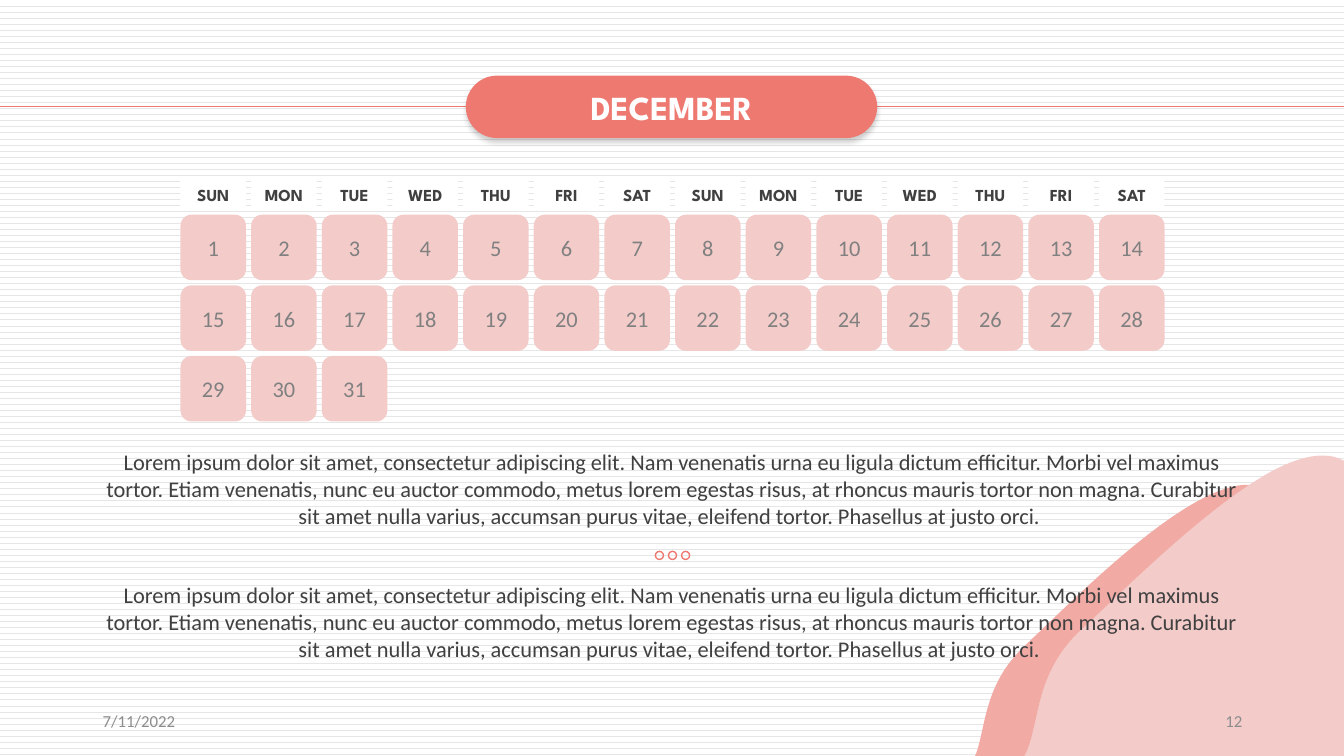
from lxml import etree
from pptx import Presentation
from pptx.dml.color import RGBColor
from pptx.enum.dml import MSO_PATTERN
from pptx.enum.shapes import MSO_CONNECTOR, MSO_SHAPE
from pptx.enum.text import MSO_ANCHOR, MSO_AUTO_SIZE, PP_ALIGN
from pptx.oxml import parse_xml
from pptx.oxml.ns import nsdecls, qn
from pptx.util import Inches, Pt

CORAL = RGBColor(0xEE, 0x79, 0x71)
SALMON = RGBColor(0xF1, 0xAA, 0xA4)
BLUSH = RGBColor(0xF3, 0xCC, 0xCA)
WHITE = RGBColor(0xFF, 0xFF, 0xFF)
STRIPE = RGBColor(0xE7, 0xE6, 0xE6)
DARK = RGBColor(0x40, 0x40, 0x40)
GRAY = RGBColor(0x80, 0x80, 0x80)
FOOTER_GRAY = RGBColor(0x8C, 0x8C, 0x8C)

HEADING_FONT = "League Spartan"
BODY_FONT = "Calibri"

MONTH = "DECEMBER"
WEEKDAYS = ["SUN", "MON", "TUE", "WED", "THU", "FRI", "SAT"] * 2
DAYS = 31
NOTE = (
    "Lorem ipsum dolor sit amet, consectetur adipiscing elit. Nam venenatis urna eu ligula "
    "dictum efficitur. Morbi vel maximus tortor. Etiam venenatis, nunc eu auctor commodo, "
    "metus lorem egestas risus, at rhoncus mauris tortor non magna. Curabitur sit amet nulla "
    "varius, accumsan purus vitae, eleifend tortor. Phasellus at justo orci. "
)
NOTE_TOPS = [4.4, 5.72]
FOOTERS = [
    ("7/11/2022", 0.92, PP_ALIGN.LEFT),
    ("12", 9.42, PP_ALIGN.RIGHT),
]
WAVES = [
    (BLUSH, (13.14, 4.52), [
        (13.21, 4.52, 13.27, 4.54, 13.33, 4.57),
        (13.33, 4.58),
        (13.33, 7.5),
        (12.57, 7.5),
        (10.16, 7.5),
        (10.17, 7.48),
        (10.32, 7.18, 10.25, 6.69, 10.72, 6.25),
        (11.06, 5.94, 11.77, 5.22, 12.39, 4.81),
        (12.47, 4.76),
        (12.72, 4.6, 12.96, 4.51, 13.14, 4.52),
    ]),
    (SALMON, (12.39, 4.81), [
        (11.77, 5.22, 11.06, 5.94, 10.72, 6.25),
        (10.25, 6.69, 10.32, 7.18, 10.17, 7.48),
        (10.16, 7.5),
        (9.67, 7.5),
        (9.68, 7.48),
        (9.78, 7.2, 9.76, 6.79, 10.16, 6.41),
        (10.6, 6, 11.71, 4.85, 12.34, 4.81),
        (12.39, 4.81),
    ]),
]

PAGE_WIDTH, PAGE_HEIGHT = 13.33, 7.5
GRID_LEFT, GRID_WIDTH, CELL = 1.79, 9.76, 0.65
HEADER_TOP, HEADER_HEIGHT, DAYS_TOP = 1.78, 0.3, 2.13
RULE_TOP = 1.06
TITLE_AREA = (4.62, 0.75, 4.08, 0.62)
DOT_LEFT, DOT_TOP, DOT_SIZE, DOT_PITCH = 6.5, 5.47, 0.08, 0.13


def inches(*lengths):
    return [Inches(length) for length in lengths]


def write(shape, text, font, size, color, align=PP_ALIGN.CENTER,
          anchor=MSO_ANCHOR.MIDDLE, bold=False):
    frame = shape.text_frame
    frame.text = text
    frame.word_wrap = True
    frame.auto_size = MSO_AUTO_SIZE.NONE
    frame.vertical_anchor = anchor
    para = frame.paragraphs[0]
    para.alignment = align
    span = para.runs[0].font
    span.name, span.size, span.bold = font, Pt(size), bold
    span.color.rgb = color


def paint(shape, color):
    shape.shadow.inherit = False
    shape.fill.solid()
    shape.fill.fore_color.rgb = color
    shape.line.fill.background()


def bend(wave, segments):
    lines = list(wave.element.iter(qn("a:lnTo")))
    for line, segment in zip(lines, segments):
        if len(segment) == 6:
            curve = etree.Element(qn("a:cubicBezTo"))
            for x, y in zip(segment[::2], segment[1::2]):
                etree.SubElement(curve, qn("a:pt"), x=str(Inches(x) - wave.left),
                                 y=str(Inches(y) - wave.top))
            line.getparent().replace(line, curve)


def add_waves(page):
    group = page.shapes.add_group_shape()
    for color, start, segments in WAVES:
        builder = group.shapes.build_freeform(*inches(*start))
        builder.add_line_segments([inches(*segment[-2:]) for segment in segments], close=True)
        wave = builder.convert_to_shape()
        bend(wave, segments)
        paint(wave, color)


def add_rule(page):
    rule = page.shapes.add_connector(
        MSO_CONNECTOR.STRAIGHT, *inches(0, RULE_TOP, PAGE_WIDTH, RULE_TOP))
    rule.line.color.rgb = CORAL
    rule.line.width = Pt(0.5)
    etree.SubElement(rule.element.spPr, qn("a:effectLst"))


def add_title(page):
    pill = page.shapes.add_shape(MSO_SHAPE.ROUNDED_RECTANGLE, *inches(*TITLE_AREA))
    pill.adjustments[0] = 0.5
    paint(pill, CORAL)
    pill.element.spPr.find(qn("a:effectLst")).append(parse_xml(
        f'<a:outerShdw {nsdecls("a")} blurRad="{Pt(4)}" dist="{Pt(3)}" dir="5400000" '
        'rotWithShape="0"><a:srgbClr val="000000"><a:alpha val="20000"/></a:srgbClr>'
        '</a:outerShdw>'))
    title = page.shapes.title
    title.left, title.top, title.width, title.height = inches(*TITLE_AREA)
    write(title, MONTH, HEADING_FONT, 24, WHITE, bold=True)
    pill.element.addnext(title.element)


def add_cell(group, kind, left, top, height, color):
    cell = group.shapes.add_shape(kind, *inches(left, top, CELL, height))
    paint(cell, color)
    frame = cell.text_frame
    frame.margin_left = frame.margin_right = 0
    return cell


def add_calendar(page):
    group = page.shapes.add_group_shape()
    columns = len(WEEKDAYS)
    pitch = (GRID_WIDTH - CELL) / (columns - 1)
    for column, weekday in enumerate(WEEKDAYS):
        cell = add_cell(group, MSO_SHAPE.RECTANGLE, GRID_LEFT + column * pitch,
                        HEADER_TOP, HEADER_HEIGHT, WHITE)
        write(cell, weekday, HEADING_FONT, 12, DARK, bold=True)
    for index in range(DAYS):
        row, column = divmod(index, columns)
        cell = add_cell(group, MSO_SHAPE.ROUNDED_RECTANGLE, GRID_LEFT + column * pitch,
                        DAYS_TOP + row * pitch, CELL, BLUSH)
        write(cell, str(index + 1), BODY_FONT, 16, GRAY)


def add_dots(page):
    group = page.shapes.add_group_shape()
    for index in range(3):
        dot = group.shapes.add_shape(MSO_SHAPE.OVAL, *inches(
            DOT_LEFT + index * DOT_PITCH, DOT_TOP, DOT_SIZE, DOT_SIZE))
        dot.shadow.inherit = False
        dot.fill.background()
        dot.line.color.rgb = CORAL
        dot.line.width = Pt(1)


def main():
    deck = Presentation()
    deck.slide_width, deck.slide_height = inches(PAGE_WIDTH, PAGE_HEIGHT)
    page = deck.slides.add_slide(deck.slide_layouts[5])
    backdrop = page.background.fill
    backdrop.patterned()
    backdrop.pattern = MSO_PATTERN.DASHED_HORIZONTAL
    backdrop.fore_color.rgb = STRIPE
    backdrop.back_color.rgb = WHITE

    add_waves(page)
    add_rule(page)
    add_calendar(page)
    add_title(page)
    for top in NOTE_TOPS:
        box = page.shapes.add_textbox(*inches(0.94, top, 11.45, 0.91))
        write(box, NOTE, BODY_FONT, 16, DARK, anchor=MSO_ANCHOR.TOP)
    add_dots(page)
    for text, left, align in FOOTERS:
        box = page.shapes.add_textbox(*inches(left, 6.95, 3, 0.4))
        write(box, text, BODY_FONT, 12, FOOTER_GRAY, align=align)
    deck.save("out.pptx")


if __name__ == "__main__":
    main()
